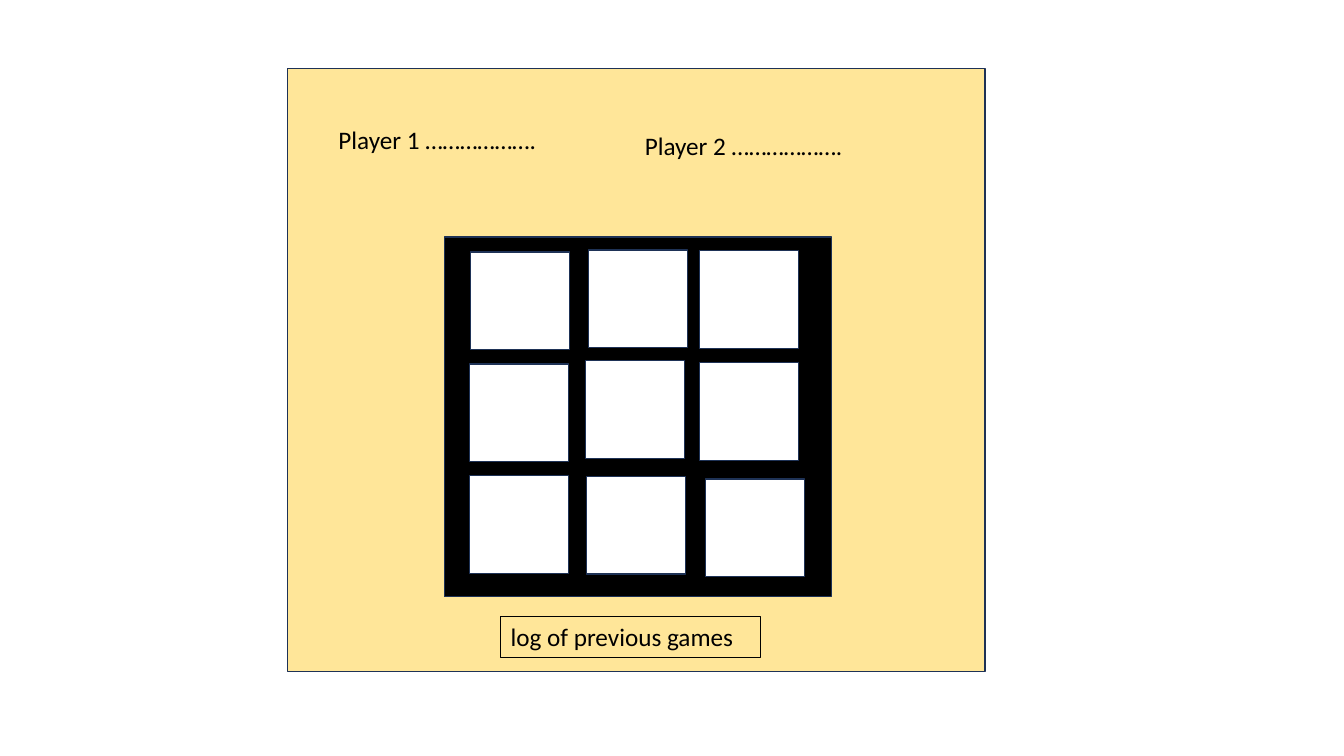
from dataclasses import dataclass

from pptx import Presentation
from pptx.dml.color import RGBColor as RGB
from pptx.enum.shapes import MSO_SHAPE as Shape
from pptx.enum.text import MSO_AUTO_SIZE as Fit
from pptx.util import Cm, Pt


@dataclass(frozen=True)
class Theme:
    font: str = "Calibri"
    size: float = 18
    ink: str = "000000"
    edge: str = "1E3256"
    panel: str = "FFE699"
    board: str = "000000"
    cell: str = "FFFFFF"
    thick: float = 1
    thin: float = 0.75


class Page:
    def __init__(self, deck, theme):
        self.theme = theme
        self.slide = deck.slides.add_slide(deck.slide_layouts[6])
        self.group = self.slide.shapes.add_group_shape()

    def box(self, left, top, width, height, fill):
        rect = self.group.shapes.add_shape(
            Shape.RECTANGLE, Cm(left), Cm(top), Cm(width), Cm(height))
        rect.shadow.inherit = False
        rect.fill.solid()
        rect.fill.fore_color.rgb = RGB.from_string(fill)
        rect.line.color.rgb = RGB.from_string(self.theme.edge)
        rect.line.width = Pt(self.theme.thick)

    def label(self, left, top, width, text, framed=False):
        area = self.group.shapes.add_textbox(
            Cm(left), Cm(top), Cm(width), Cm(1.02))
        if framed:
            area.line.color.rgb = RGB.from_string(self.theme.ink)
            area.line.width = Pt(self.theme.thin)
        frame = area.text_frame
        frame.word_wrap = True
        frame.auto_size = Fit.SHAPE_TO_FIT_TEXT
        run = frame.paragraphs[0].add_run()
        run.text = text
        run.font.name = self.theme.font
        run.font.size = Pt(self.theme.size)
        run.font.color.rgb = RGB.from_string(self.theme.ink)


# Hand-placed cells: (left, top) in cm, row by row
CELLS = [
    [(11.86, 6.35), (14.83, 6.3), (17.63, 6.32)],
    [(11.84, 9.17), (14.76, 9.09), (17.63, 9.14)],
    [(11.84, 11.99), (14.78, 12.01), (17.78, 12.07)],
]


def main():
    deck = Presentation()
    deck.slide_width, deck.slide_height = Cm(33.87), Cm(19.05)
    theme = Theme()
    page = Page(deck, theme)

    # Game window and board
    page.box(7.24, 1.73, 17.58, 15.19, theme.panel)
    page.box(11.2, 5.97, 9.75, 9.07, theme.board)
    for row in CELLS:
        for left, top in row:
            page.box(left, top, 2.49, 2.46, theme.cell)

    # Players
    page.label(8.28, 3.02, 6.5, "Player 1 ……………….")
    page.label(16, 3.15, 6.5, "Player 2 ……………….")

    # Game log
    page.label(12.62, 15.54, 6.55, "log of previous games", framed=True)

    deck.save("out.pptx")


if __name__ == "__main__":
    main()
